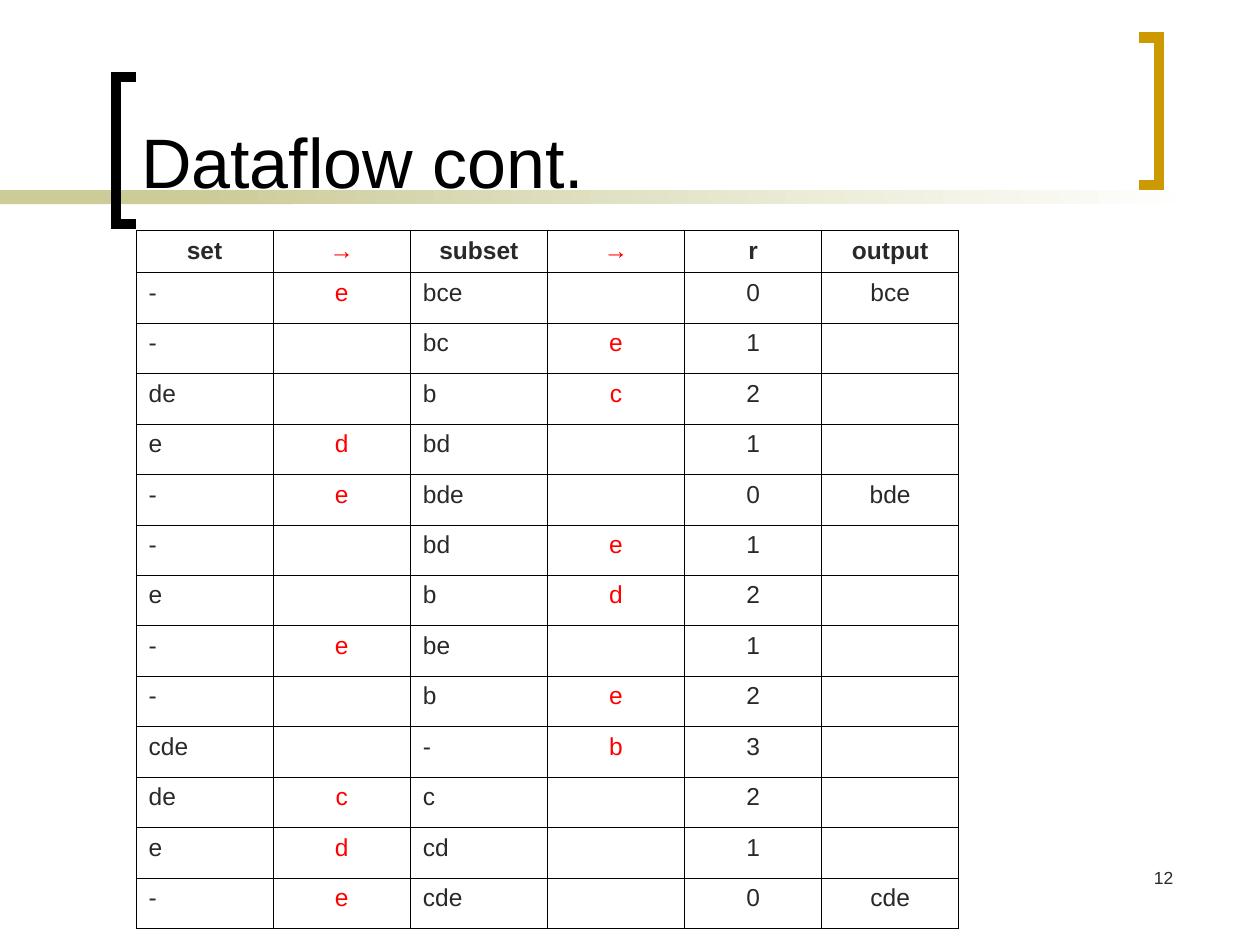
from lxml import etree
from pptx import Presentation
from pptx import util as u
from pptx.dml.color import RGBColor
from pptx.enum import shapes, text
from pptx.oxml import ns

Inches = u.Inches
COLORS = {"ink": "292929", "black": "000000", "move": "FF0000",
          "band": "CCCC99", "white": "FFFFFF", "gold": "CC9900"}
ALIGN = {"l": text.PP_ALIGN.LEFT, "c": text.PP_ALIGN.CENTER, "r": text.PP_ALIGN.RIGHT}


def color(name):
    return RGBColor.from_string(COLORS[name])


def write(frame, words, size=14, ink="ink", bold=False, align="l"):
    paragraph = frame.paragraphs[0]
    paragraph.alignment = ALIGN[align]
    run = paragraph.add_run()
    run.text = words
    run.font.name = "Arial"
    run.font.size = u.Pt(size)
    run.font.bold = bold
    run.font.color.rgb = color(ink)


prs = Presentation()
prs.slide_width, prs.slide_height = Inches(10), Inches(7.5)
slide = prs.slides.add_slide(prs.slide_layouts[5])

for left, width in [(0, 2.33), (1.58, 7.92)]:
    band = slide.shapes.add_shape(shapes.MSO_SHAPE.RECTANGLE, Inches(left), Inches(1.51),
                                  Inches(width), Inches(0.11))
    band.shadow.inherit = False
    band.line.fill.background()
    if left == 0:
        band.fill.solid()
        band.fill.fore_color.rgb = color("band")
    else:
        band.fill.gradient()
        band.fill.gradient_angle = 0
        for stop, position, shade in zip(band.fill.gradient_stops, (0, 1), ("band", "white")):
            stop.position = position
            stop.color.rgb = color(shade)

for tip, spine, top, shade in [(1.08, 0.92, 0.61, "black"), (9.04, 9.2, 0.3, "gold")]:
    bottom = top + 1.17
    outline = slide.shapes.build_freeform(Inches(tip), Inches(top))
    outline.add_line_segments([(Inches(x), Inches(y)) for x, y in
                               [(spine, top), (spine, bottom), (tip, bottom)]], close=False)
    bracket = outline.convert_to_shape()
    bracket.shadow.inherit = False
    bracket.fill.background()
    bracket.line.color.rgb = color(shade)
    bracket.line.width = u.Pt(6)
    etree.SubElement(bracket.line._get_or_add_ln(), ns.qn("a:miter"), lim="800000")

page = slide.shapes.add_textbox(Inches(7.33), Inches(6.83), Inches(2.08), Inches(0.5))
page.text_frame.word_wrap = True
write(page.text_frame, "12", size=10, align="r")

headings = ["set", "→", "subset", "→", "r", "output"]
steps = [
    ["-", "e", "bce", "", "0", "bce"],
    ["-", "", "bc", "e", "1", ""],
    ["de", "", "b", "c", "2", ""],
    ["e", "d", "bd", "", "1", ""],
    ["-", "e", "bde", "", "0", "bde"],
    ["-", "", "bd", "e", "1", ""],
    ["e", "", "b", "d", "2", ""],
    ["-", "e", "be", "", "1", ""],
    ["-", "", "b", "e", "2", ""],
    ["cde", "", "-", "b", "3", ""],
    ["de", "c", "c", "", "2", ""],
    ["e", "d", "cd", "", "1", ""],
    ["-", "e", "cde", "", "0", "cde"],
]
rows = [headings] + steps
trace = slide.shapes.add_table(len(rows), len(headings), Inches(1.08), Inches(1.83),
                               Inches(6.53), Inches(4.67)).table
trace.first_row = trace.horz_banding = False

for r, row in enumerate(rows):
    for c, words in enumerate(row):
        cell = trace.cell(r, c)
        for side in ("lnL", "lnR", "lnT", "lnB"):
            border = etree.SubElement(cell._tc.get_or_add_tcPr(), ns.qn("a:" + side),
                                      w=str(u.Pt(0.45)))
            paint = etree.SubElement(border, ns.qn("a:solidFill"))
            etree.SubElement(paint, ns.qn("a:srgbClr"), val=COLORS["black"])
        cell.fill.background()
        if words:
            write(cell.text_frame, words, bold=r == 0,
                  ink="move" if c in (1, 3) else "ink",
                  align="l" if r and c in (0, 2) else "c")

title = slide.shapes.title
title.left, title.top = Inches(1.02), Inches(0.11)
title.width, title.height = Inches(7.83), Inches(1.55)
title.text_frame.vertical_anchor = text.MSO_ANCHOR.BOTTOM
title.text_frame.auto_size = text.MSO_AUTO_SIZE.NONE
write(title.text_frame, "Dataflow cont.", size=40, ink="black")
slide.shapes._spTree.append(title._element)

prs.save("out.pptx")
